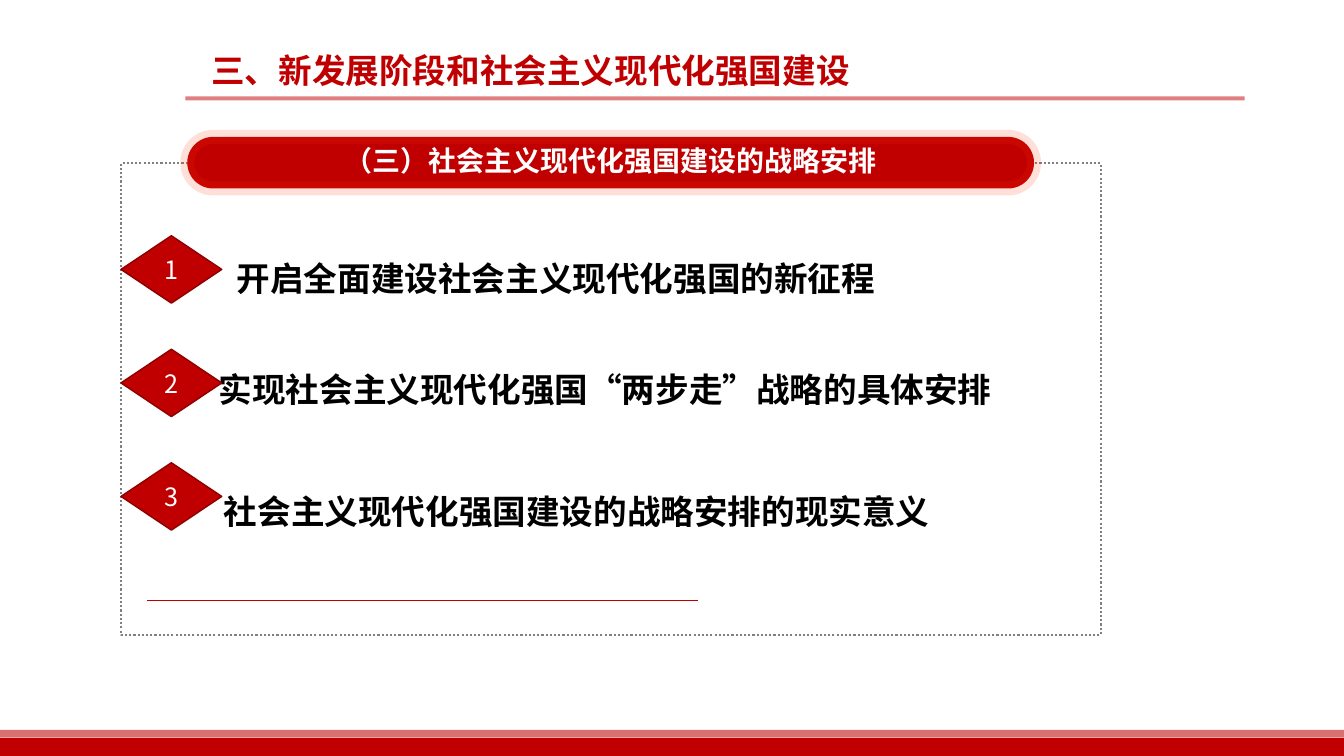
from pptx import Presentation
from pptx import util as u
from pptx.dml.color import RGBColor
from pptx.enum import dml, shapes, text
from pptx.oxml.ns import qn
from lxml import etree

COLOURS = {"red": "C00000", "dark_red": "8E0000", "glow": "FF3300",
           "grey": "808080", "white": "FFFFFF", "black": "000000"}
HEADING_FONT = "Noto Sans CJK SC"
NUMBER_FONT = "Noto Sans CJK JP"
WIDTH, HEIGHT = 33.87, 19.05


def rgb(name):
    return RGBColor.from_string(COLOURS[name])


def set_alpha(fill, percent):
    """Make a solid fill partly transparent."""
    colour = fill._xPr.find(qn("a:solidFill"))[0]
    etree.SubElement(colour, qn("a:alpha"), val=str(percent * 1000))


class StrategySlide:
    """Holds the style and the current slide."""

    def __init__(self, deck):
        self.slide = deck.slides.add_slide(deck.slide_layouts[1])

    def add_words(self, paragraph, words, font=HEADING_FONT, **style):
        run = paragraph.add_run()
        run.text = words
        formats = {"size": u.Pt(24), "bold": True, "name": font} | style
        colour = formats.pop("colour")
        for key, value in formats.items():
            setattr(run.font, key, value)
        run.font.color.rgb = rgb(colour)
        etree.SubElement(run._r.get_or_add_rPr(), qn("a:ea"), typeface=font)

    def line(self, line, colour, width, dash=None, alpha=None):
        line.color.rgb = rgb(colour)
        line.width = u.Pt(width)
        if dash:
            line.dash_style = dash
        if alpha:
            set_alpha(line.fill, alpha)

    def shape(self, kind, box, fill=None, alpha=None, outline=None):
        shape = self.slide.shapes.add_shape(kind, *map(u.Cm, box))
        shape.shadow.inherit = False
        if fill:
            shape.fill.solid()
            shape.fill.fore_color.rgb = rgb(fill)
            if alpha:
                set_alpha(shape.fill, alpha)
        else:
            shape.fill.background()
        if outline:
            self.line(shape.line, **outline)
        else:
            shape.line.fill.background()
        return shape

    def label(self, shape, words, spacing=1.0, **style):
        shape.text_frame.vertical_anchor = text.MSO_ANCHOR.MIDDLE
        paragraph = shape.text_frame.paragraphs[0]
        paragraph.alignment = text.PP_ALIGN.CENTER
        paragraph.line_spacing = spacing
        self.add_words(paragraph, words, **style)

    def rule(self, left, right, y):
        rule = self.slide.shapes.add_connector(
            shapes.MSO_CONNECTOR.STRAIGHT, *map(u.Cm, (left, y, right, y)))
        self.line(rule.line, "red", 0.5)
        etree.SubElement(rule._element.spPr, qn("a:effectLst"))

    def place(self, holder, box):
        for side, value in zip(("left", "top", "width", "height"), box):
            setattr(holder, side, u.Cm(value))
        holder.text_frame.word_wrap = True
        holder.text_frame.auto_size = text.MSO_AUTO_SIZE.NONE

    def title(self, words, box):
        title = self.slide.shapes.title
        self.place(title, box)
        self.label(title, words, colour="red")

    def topics(self, topics, box):
        body = self.slide.placeholders[1]
        self.place(body, box)
        frame = body.text_frame
        frame.vertical_anchor = text.MSO_ANCHOR.TOP
        frame.margin_top = u.Cm(0.46)
        for number, (words, indent, gap) in enumerate(topics):
            topic = frame.add_paragraph() if number else frame.paragraphs[0]
            properties = topic._p.get_or_add_pPr()
            properties.set("marL", str(u.Cm(indent)))
            properties.set("indent", "0")
            etree.SubElement(properties, qn("a:buNone"))
            formats = {"line_spacing": u.Pt(36), "space_before": u.Pt(gap),
                       "alignment": text.PP_ALIGN.LEFT}
            for key, value in formats.items():
                setattr(topic, key, value)
            self.add_words(topic, words, colour="black")


def main():
    deck = Presentation()
    deck.slide_width, deck.slide_height = u.Cm(WIDTH), u.Cm(HEIGHT)
    page = StrategySlide(deck)
    kinds = shapes.MSO_SHAPE

    # Footer bands
    page.shape(kinds.RECTANGLE, (0, 18.59, WIDTH, 0.46), "red")
    page.shape(kinds.RECTANGLE, (0, 18.39, WIDTH, 0.18), "red", alpha=56)

    # Title and its underline
    page.title("三、新发展阶段和社会主义现代化强国建设", (4.67, 1.14, 17.4, 1.27))
    page.shape(kinds.RECTANGLE, (4.67, 2.43, 26.7, 0.1), "red", alpha=50)

    # Dotted frame with the section banner
    page.shape(kinds.RECTANGLE, (3.05, 4.11, 24.69, 11.89),
               outline={"colour": "grey", "width": 1.5,
                        "dash": dml.MSO_LINE.ROUND_DOT})
    banner = page.shape(kinds.ROUNDED_RECTANGLE, (4.72, 3.45, 21.34, 1.3), "red",
                        outline={"colour": "glow", "width": 10, "alpha": 15})
    banner.adjustments[0] = 0.5
    page.label(banner, "（三）社会主义现代化强国建设的战略安排", spacing=0.9,
               size=u.Pt(20), colour="white")
    page.rule(3.71, 17.58, 15.14)

    # Topics: wording, indent in cm, space before in points
    topics = [("开启全面建设社会主义现代化强国的新征程", 2.46, 0),
              ("实现社会主义现代化强国“两步走”战略的具体安排", 2.01, 43.3),
              ("社会主义现代化强国建设的战略安排的现实意义", 2.14, 50.6)]
    page.topics(topics, (3.25, 5.79, 23.75, 8.97))

    # Numbered diamonds
    for step in range(len(topics)):
        diamond = page.shape(kinds.FLOWCHART_DECISION,
                             (3.05, 5.94 + 2.86 * step, 2.54, 1.7), "red",
                             outline={"colour": "dark_red", "width": 1})
        page.label(diamond, str(step + 1), font=NUMBER_FONT, size=u.Pt(18),
                   bold=False, colour="white")

    deck.save("out.pptx")


if __name__ == "__main__":
    main()
